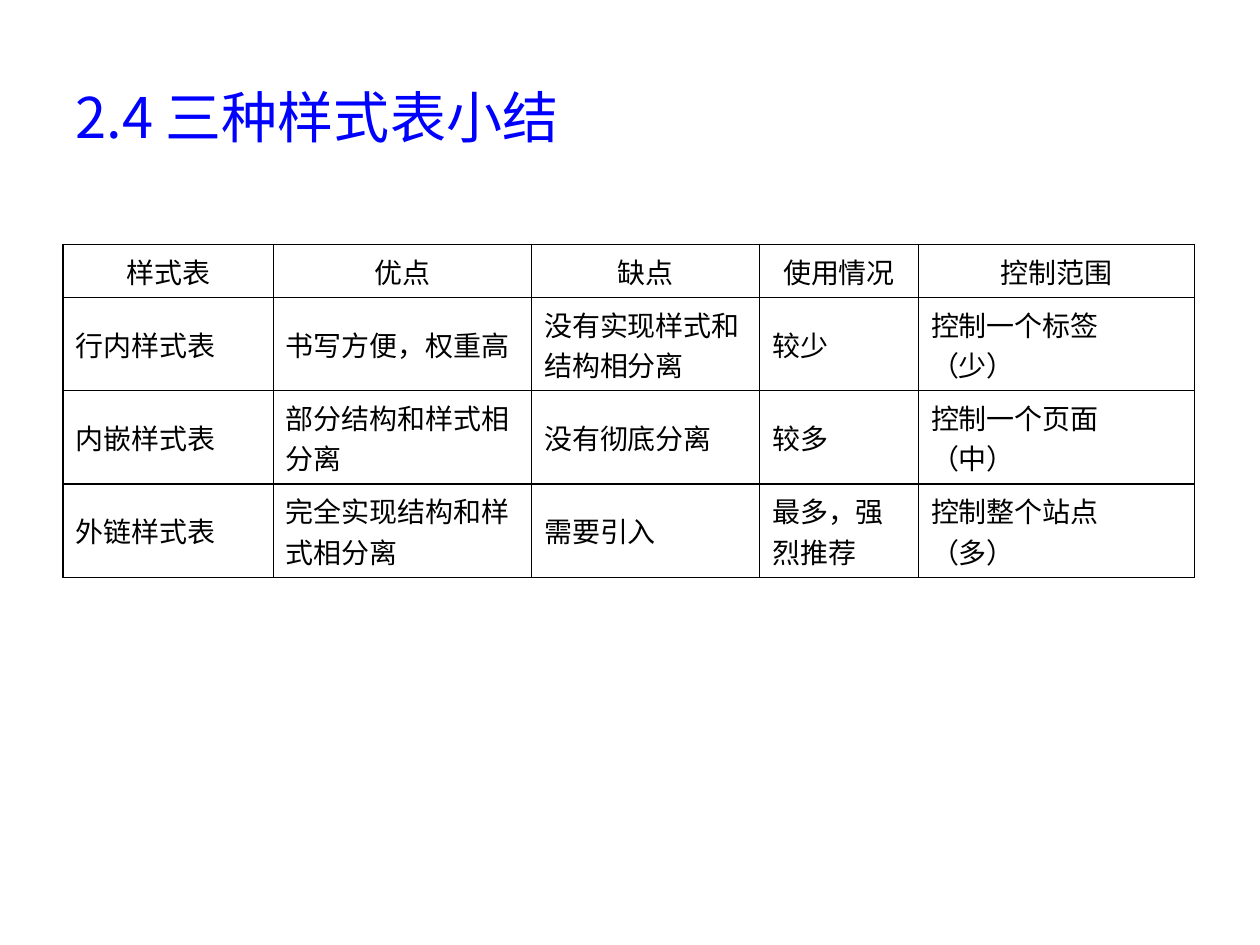
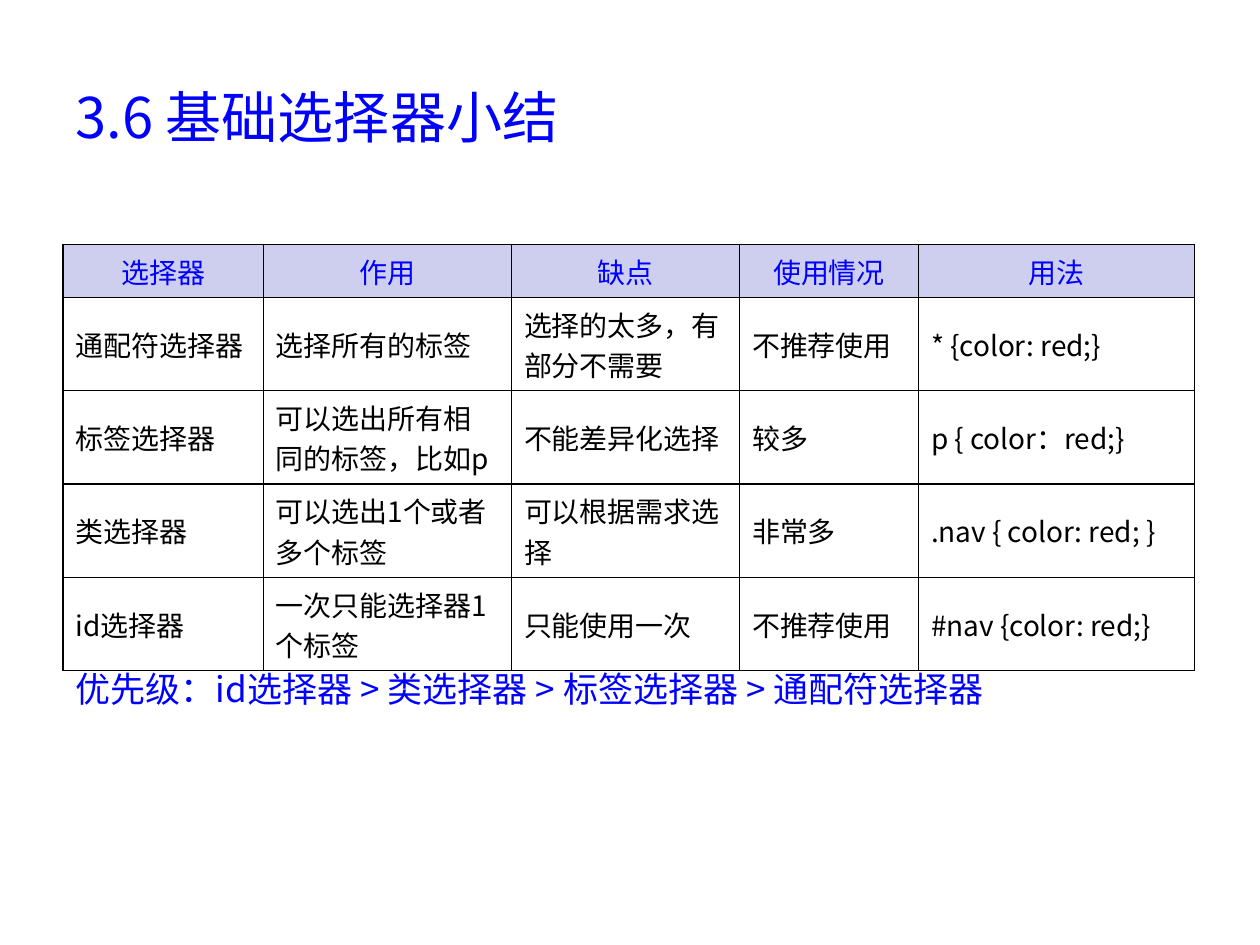
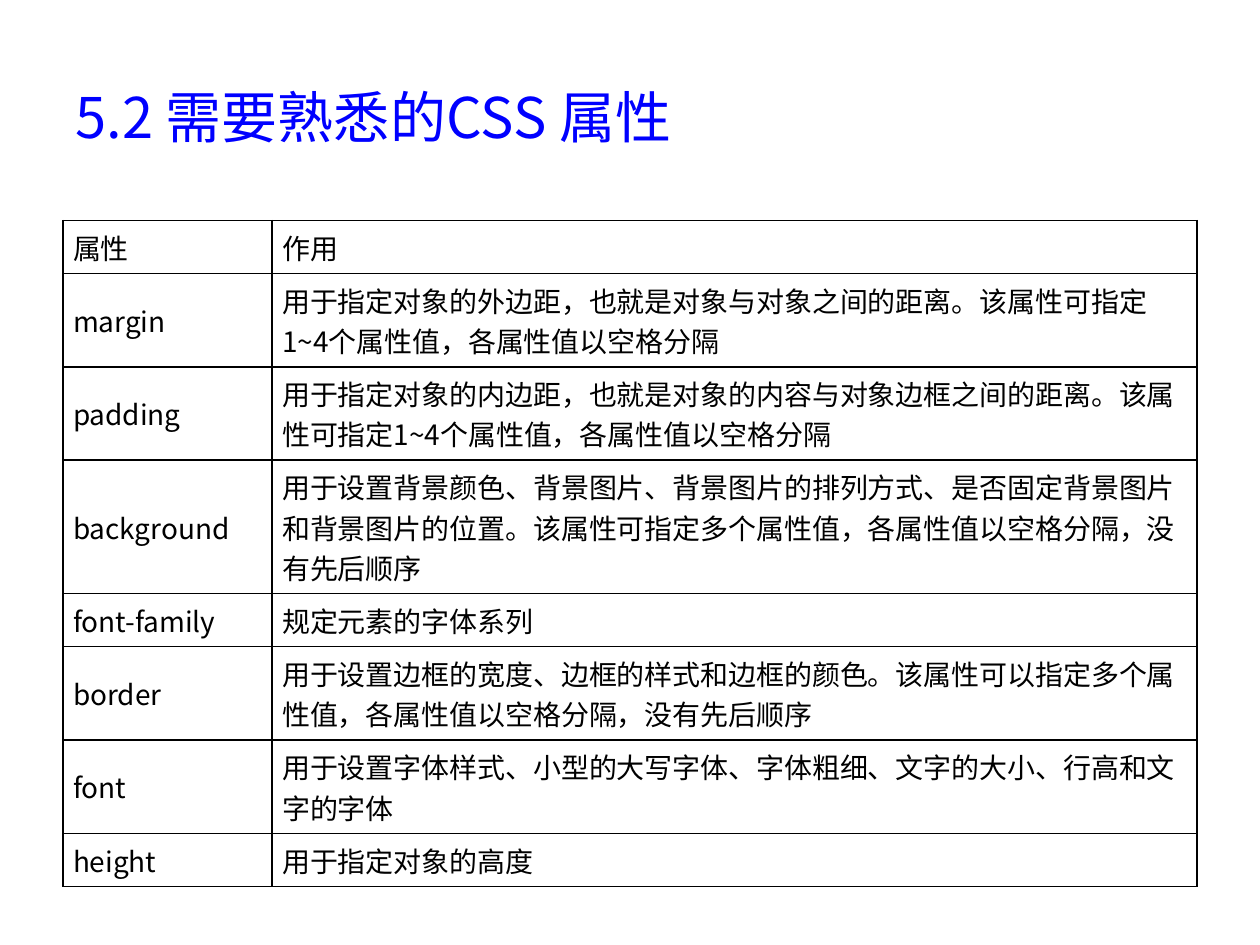
from dataclasses import dataclass
from typing import NamedTuple

from lxml.etree import SubElement
from pptx import Presentation
from pptx.dml.color import RGBColor
from pptx.enum.text import MSO_ANCHOR, MSO_AUTO_SIZE, PP_ALIGN
from pptx.oxml.ns import qn
from pptx.util import Inches, Pt

FONT = "Noto Sans CJK SC"
BLUE, BLACK, WHITE, LAVENDER = "0000FF", "000000", "FFFFFF", "CECEEF"
CONTENT_LAYOUT, TITLE_ONLY_LAYOUT = 1, 5
LEFT = 0.5


class Insets(NamedTuple):
    left: float
    top: float
    right: float
    bottom: float


NORMAL = Insets(0.1, 0.05, 0.1, 0.05)
WIDE_RIGHT = Insets(0.08, 0.05, 0.11, 0.05)
LEFT_ONLY = Insets(0.08, 0, 0, 0)


@dataclass
class Summary:
    """One slide: a title, a table and sometimes a closing line."""
    title: str
    top: float
    height: float
    columns: list[float]
    header_height: float
    row_height: float
    rows: list[list[str]]
    header_fill: str | None = None
    header_color: str = BLACK
    header_align: PP_ALIGN = PP_ALIGN.CENTER
    body_fill: str | None = WHITE
    insets: Insets = NORMAL
    name_insets: Insets = NORMAL
    closing: str | None = None


SUMMARIES = [
    Summary(
        "2.4 三种样式表小结", 1.94, 2.27, [1.67, 2.05, 1.81, 1.26, 2.19], 0.16, 0.41,
        [
            ["样式表", "优点", "缺点", "使用情况", "控制范围"],
            ["行内样式表", "书写方便，权重高", "没有实现样式和结构相分离", "较少", "控制一个标签（少）"],
            ["内嵌样式表", "部分结构和样式相分离", "没有彻底分离", "较多", "控制一个页面（中）"],
            ["外链样式表", "完全实现结构和样式相分离", "需要引入", "最多，强烈推荐", "控制整个站点（多）"],
        ],
    ),
    Summary(
        "3.6 基础选择器小结", 1.94, 2.9, [1.59, 1.97, 1.81, 1.42, 2.19], 0.16, 0.41,
        [
            ["选择器", "作用", "缺点", "使用情况", "用法"],
            ["通配符选择器", "选择所有的标签", "选择的太多，有部分不需要", "不推荐使用", "* {color: red;}"],
            ["标签选择器", "可以选出所有相同的标签，比如p", "不能差异化选择", "较多", "p { color：red;}"],
            ["类选择器", "可以选出1个或者多个标签", "可以根据需求选择", "非常多", ".nav { color: red; }"],
            ["id选择器", "一次只能选择器1个标签", "只能使用一次", "不推荐使用", "#nav {color: red;}"],
        ],
        header_fill=LAVENDER, header_color=BLUE,
        closing="优先级：id选择器 > 类选择器 > 标签选择器 > 通配符选择器",
    ),
    Summary(
        "5.2 需要熟悉的CSS 属性", 1.75, 4.53, [1.66, 7.34], 0, 0,
        [
            ["属性", "作用"],
            ["margin", "用于指定对象的外边距，也就是对象与对象之间的距离。该属性可指定1~4个属性值，各属性值以空格分隔"],
            ["padding", "用于指定对象的内边距，也就是对象的内容与对象边框之间的距离。该属性可指定1~4个属性值，各属性值以空格分隔"],
            ["background", "用于设置背景颜色、背景图片、背景图片的排列方式、是否固定背景图片和背景图片的位置。"
                           "该属性可指定多个属性值，各属性值以空格分隔，没有先后顺序"],
            ["font-family", "规定元素的字体系列"],
            ["border", "用于设置边框的宽度、边框的样式和边框的颜色。该属性可以指定多个属性值，各属性值以空格分隔，没有先后顺序"],
            ["font", "用于设置字体样式、小型的大写字体、字体粗细、文字的大小、行高和文字的字体"],
            ["height", "用于指定对象的高度"],
        ],
        header_align=PP_ALIGN.LEFT, body_fill=None,
        insets=WIDE_RIGHT, name_insets=LEFT_ONLY,
    ),
]


def rgb(color: str) -> RGBColor:
    return RGBColor.from_string(color)


def write(frame, text: str, size: float, color: str, align=PP_ALIGN.LEFT) -> None:
    frame.text = text
    paragraph = frame.paragraphs[0]
    paragraph.alignment = align
    font = paragraph.font
    font.size, font.name, font.bold = Pt(size), FONT, False
    font.color.rgb = rgb(color)
    # Chinese characters take their typeface from a:ea
    defaults = paragraph._p.pPr.find(qn("a:defRPr"))
    SubElement(defaults, qn("a:ea"), typeface=FONT)


def fill_placeholder(shape, text: str, top: float, height: float,
                     size: float, anchor: MSO_ANCHOR) -> None:
    shape.left, shape.top = Inches(LEFT), Inches(top)
    shape.width, shape.height = Inches(9), Inches(height)
    frame = shape.text_frame
    write(frame, text, size, BLUE)
    frame.auto_size = MSO_AUTO_SIZE.NONE
    frame.vertical_anchor = anchor


def remove_bullet(paragraph) -> None:
    paragraph.space_before = Pt(0)
    properties = paragraph._p.get_or_add_pPr()
    properties.set("marL", "0")
    properties.set("indent", "0")
    properties.find(qn("a:defRPr")).addprevious(
        properties.makeelement(qn("a:buNone"), {}))


def add_borders(cell) -> None:
    properties = cell._tc.get_or_add_tcPr()
    for side in ("lnL", "lnR", "lnT", "lnB"):
        line = SubElement(properties, qn(f"a:{side}"), w=str(Pt(1)))
        SubElement(SubElement(line, qn("a:solidFill")), qn("a:srgbClr"), val=BLACK)


def format_cell(cell, insets: Insets, fill: str | None) -> None:
    cell.vertical_anchor = MSO_ANCHOR.MIDDLE
    cell.margin_left, cell.margin_top = Inches(insets.left), Inches(insets.top)
    cell.margin_right, cell.margin_bottom = Inches(insets.right), Inches(insets.bottom)
    add_borders(cell)
    if fill:
        cell.fill.solid()
        cell.fill.fore_color.rgb = rgb(fill)
    else:
        cell.fill.background()


def add_summary_table(slide, summary: Summary) -> None:
    frame = slide.shapes.add_table(
        len(summary.rows), len(summary.columns), Inches(LEFT), Inches(summary.top),
        Inches(sum(summary.columns)), Inches(summary.height))
    table = frame.table
    table.first_row = table.horz_banding = False
    for column, width in zip(table.columns, summary.columns):
        column.width = Inches(width)
    for r, texts in enumerate(summary.rows):
        header = r == 0
        table.rows[r].height = Inches(summary.header_height if header else summary.row_height)
        for c, text in enumerate(texts):
            cell = table.cell(r, c)
            insets = summary.name_insets if c == 0 and not header else summary.insets
            format_cell(cell, insets, summary.header_fill if header else summary.body_fill)
            write(cell.text_frame, text, 16,
                  summary.header_color if header else BLACK,
                  summary.header_align if header else PP_ALIGN.LEFT)
    # Rows grow with their text inside the stated frame height
    frame.height = Inches(summary.height)


def add_summary_slide(deck, summary: Summary) -> None:
    layout = CONTENT_LAYOUT if summary.closing else TITLE_ONLY_LAYOUT
    slide = deck.slides.add_slide(deck.slide_layouts[layout])
    fill_placeholder(slide.shapes.title, summary.title, 0.3, 1.25, 32, MSO_ANCHOR.MIDDLE)
    if summary.closing:
        closing = slide.placeholders[1]
        fill_placeholder(closing, summary.closing, 5.25, 0.55, 20, MSO_ANCHOR.TOP)
        remove_bullet(closing.text_frame.paragraphs[0])
    add_summary_table(slide, summary)


def main() -> None:
    deck = Presentation()
    deck.slide_width, deck.slide_height = Inches(10), Inches(7.5)
    for summary in SUMMARIES:
        add_summary_slide(deck, summary)
    deck.save("out.pptx")


if __name__ == "__main__":
    main()
